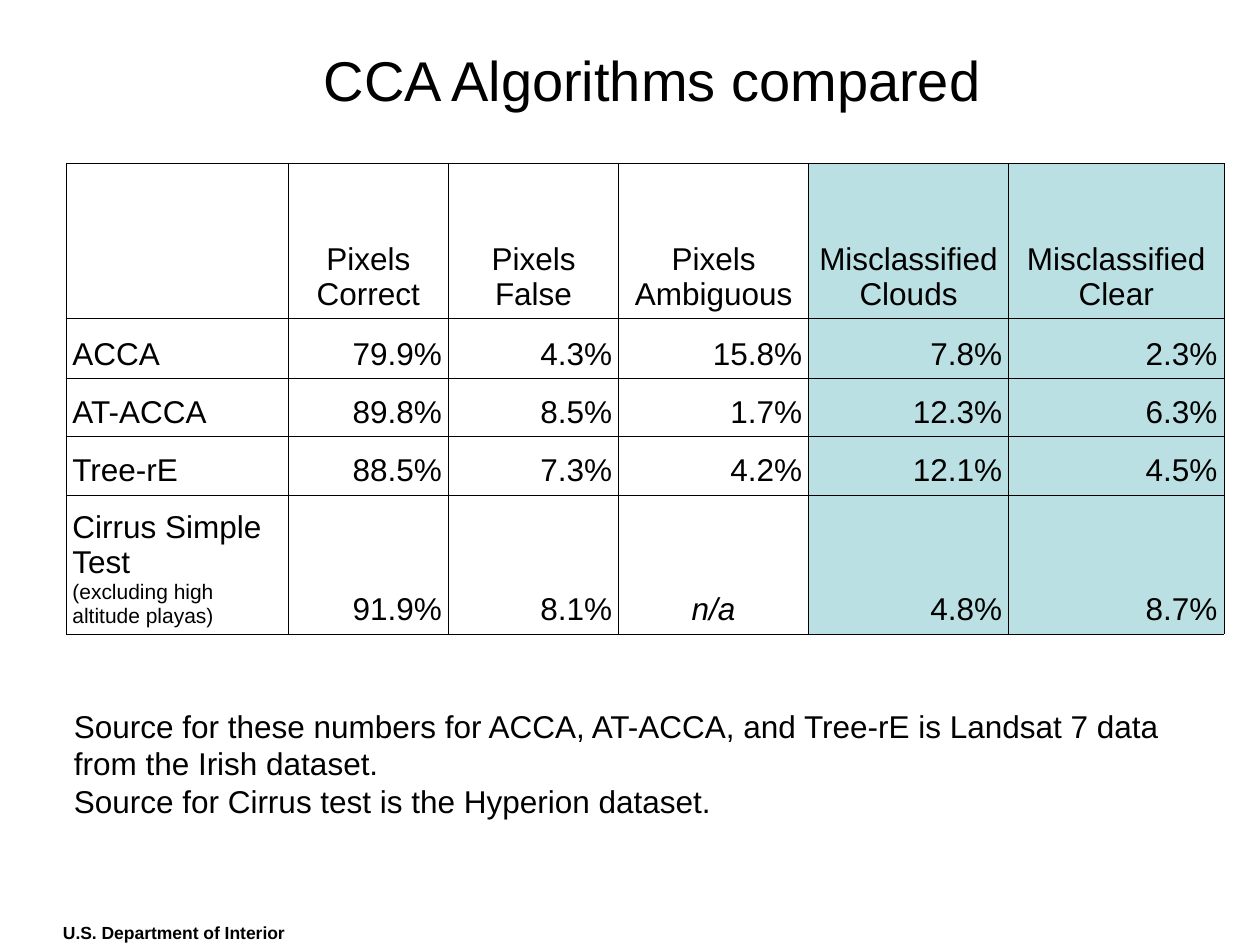
from dataclasses import dataclass

from lxml.etree import SubElement
from pptx import Presentation
from pptx.dml.color import RGBColor
from pptx.enum.text import MSO_ANCHOR, MSO_AUTO_SIZE, PP_ALIGN
from pptx.oxml.ns import qn
from pptx.slide import Slide
from pptx.table import Table, _Cell
from pptx.text.text import TextFrame
from pptx.util import Cm, Pt

BLACK = RGBColor(0x00, 0x00, 0x00)
PALE_TEAL = RGBColor(0xBB, 0xE0, 0xE3)
FONT = "Arial"
THIN, HAIRLINE = 0.45, 0.11
COL_WIDTHS = (4.48, 3.23, 3.43, 3.83, 4.03, 4.34)
ROW_HEIGHTS = (3.13, 1.21, 1.17, 1.18, 2.8)
HEADERS = ("Pixels Correct", "Pixels False", "Pixels Ambiguous",
           "Misclassified Clouds", "Misclassified Clear")
FIRST_TINTED_COL = 4


@dataclass(frozen=True)
class Result:
    name: str
    values: tuple[str, ...]
    note: str = ""


@dataclass(frozen=True)
class Caption:
    box: tuple[float, float, float, float]
    lines: tuple[str, ...]
    size: float = 18
    bold: bool = False


RESULTS = (
    Result("ACCA", ("79.9%", "4.3%", "15.8%", "7.8%", "2.3%")),
    Result("AT-ACCA", ("89.8%", "8.5%", "1.7%", "12.3%", "6.3%")),
    Result("Tree-rE", ("88.5%", "7.3%", "4.2%", "12.1%", "4.5%")),
    Result("Cirrus Simple Test", ("91.9%", "8.1%", "n/a", "4.8%", "8.7%"),
           "(excluding high altitude playas)"),
)

CAPTIONS = (
    Caption((1.02, 18.47, 5.11, 0.69), ("U.S. Department of Interior",),
            size=10, bold=True),
    Caption((1.24, 14.12, 23.42, 2.54),
            ("Source for these numbers for ACCA, AT-ACCA, and Tree-rE is "
             "Landsat 7 data from the Irish dataset.",
             "Source for Cirrus test is the Hyperion dataset.")),
)


def write(tf: TextFrame, text: str, *, size: float = 18, bold: bool = False,
          italic: bool = False, align: PP_ALIGN = PP_ALIGN.LEFT) -> None:
    p = tf.add_paragraph() if tf.text else tf.paragraphs[0]
    p.alignment = align
    r = p.add_run()
    r.text = text
    font = r.font
    font.name, font.size, font.bold, font.italic = FONT, Pt(size), bold, italic
    font.color.rgb = BLACK


def add_title(s: Slide, text: str) -> None:
    sp = s.shapes.title
    sp.left, sp.top, sp.width, sp.height = Cm(6.27), Cm(0), Cm(17.86), Cm(3.18)
    sp.text_frame.vertical_anchor = MSO_ANCHOR.MIDDLE
    write(sp.text_frame, text, size=32)


def add_caption(s: Slide, caption: Caption) -> None:
    sp = s.shapes.add_textbox(*(Cm(v) for v in caption.box))
    tf = sp.text_frame
    tf.word_wrap = True
    tf.auto_size = MSO_AUTO_SIZE.SHAPE_TO_FIT_TEXT
    for line in caption.lines:
        write(tf, line, size=caption.size, bold=caption.bold)


def set_borders(cell: _Cell, left: float, right: float) -> None:
    props = cell._tc.get_or_add_tcPr()
    widths = {"a:lnL": left, "a:lnR": right, "a:lnT": HAIRLINE, "a:lnB": HAIRLINE}
    for i, (tag, width) in enumerate(widths.items()):
        ln = SubElement(props, qn(tag), w=str(Pt(width)))
        fill = SubElement(ln, qn("a:solidFill"))
        SubElement(fill, qn("a:srgbClr"), val=str(BLACK))
        props.remove(ln)
        props.insert(i, ln)


def format_cell(cell: _Cell, col: int) -> None:
    cell.vertical_anchor = MSO_ANCHOR.BOTTOM
    cell.margin_left = cell.margin_right = Cm(0.13)
    cell.margin_top = cell.margin_bottom = Cm(0.13)
    if col >= FIRST_TINTED_COL:
        cell.fill.solid()
        cell.fill.fore_color.rgb = PALE_TEAL
    else:
        cell.fill.background()
    set_borders(cell, HAIRLINE if col == 0 else THIN,
                HAIRLINE if col == len(COL_WIDTHS) - 1 else THIN)


def fill_result(table: Table, row: int, result: Result) -> None:
    label = table.cell(row, 0).text_frame
    write(label, result.name)
    if result.note:
        write(label, result.note, size=12)
    for col, value in enumerate(result.values, 1):
        missing = value == "n/a"
        write(table.cell(row, col).text_frame, value, italic=missing,
              align=PP_ALIGN.CENTER if missing else PP_ALIGN.RIGHT)


def add_results_table(s: Slide) -> None:
    frame = s.shapes.add_table(len(ROW_HEIGHTS), len(COL_WIDTHS), Cm(1.33), Cm(3.29),
                               Cm(sum(COL_WIDTHS)), Cm(sum(ROW_HEIGHTS)))
    table = frame.table
    table.first_row = table.horz_banding = False
    for column, width in zip(table.columns, COL_WIDTHS):
        column.width = Cm(width)
    for row, height in zip(table.rows, ROW_HEIGHTS):
        row.height = Cm(height)
        for col, cell in enumerate(row.cells):
            format_cell(cell, col)
    for col, header in enumerate(HEADERS, 1):
        write(table.cell(0, col).text_frame, header, align=PP_ALIGN.CENTER)
    for row, result in enumerate(RESULTS, 1):
        fill_result(table, row, result)


def main() -> None:
    prs = Presentation()
    prs.slide_width, prs.slide_height = Cm(25.4), Cm(19.05)
    s = prs.slides.add_slide(prs.slide_layouts[5])
    add_title(s, "CCA Algorithms compared")
    add_results_table(s)
    for caption in CAPTIONS:
        add_caption(s, caption)
    prs.save("out.pptx")


if __name__ == "__main__":
    main()
